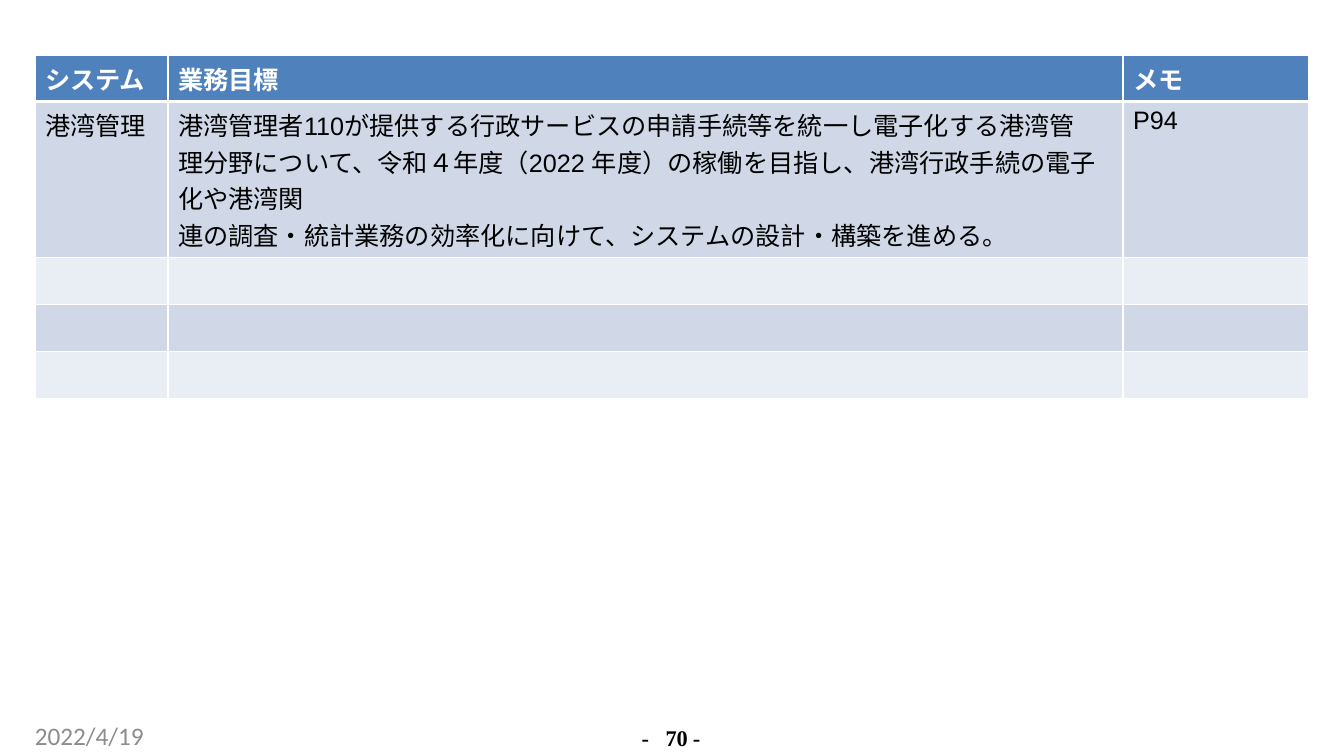
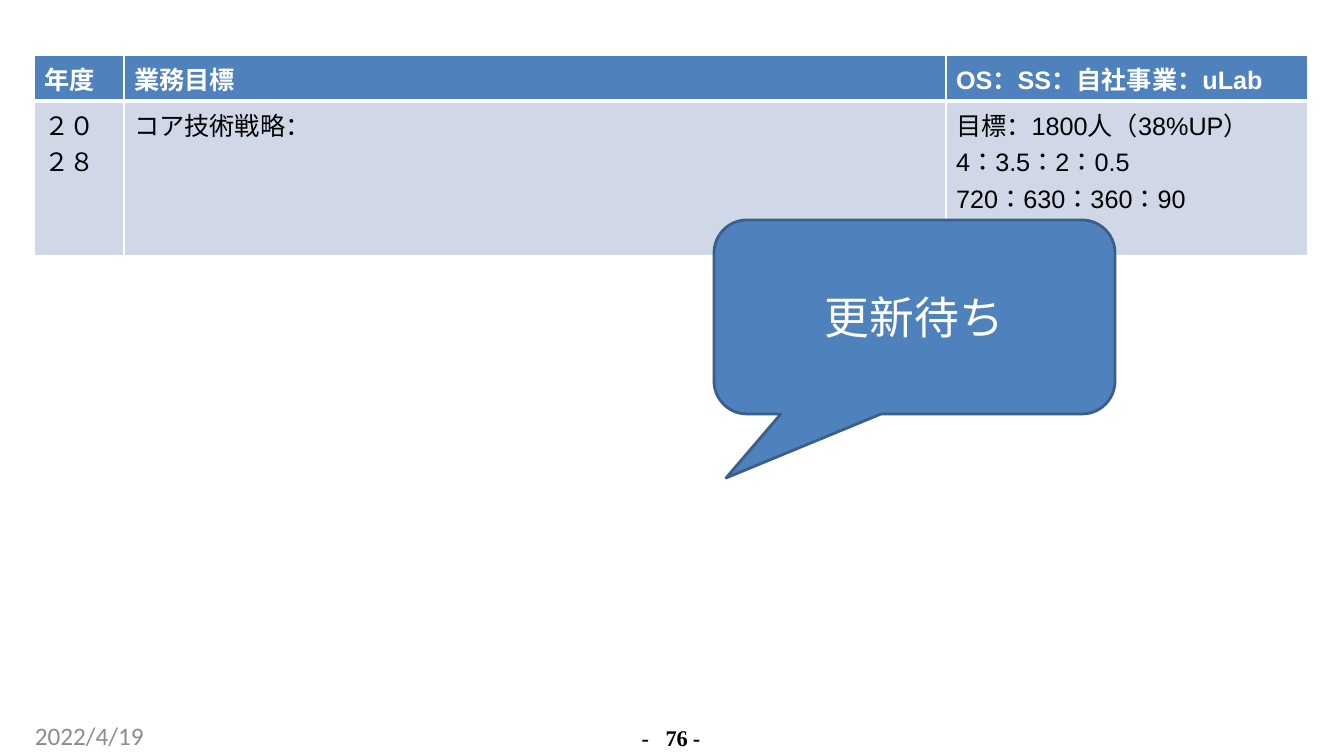
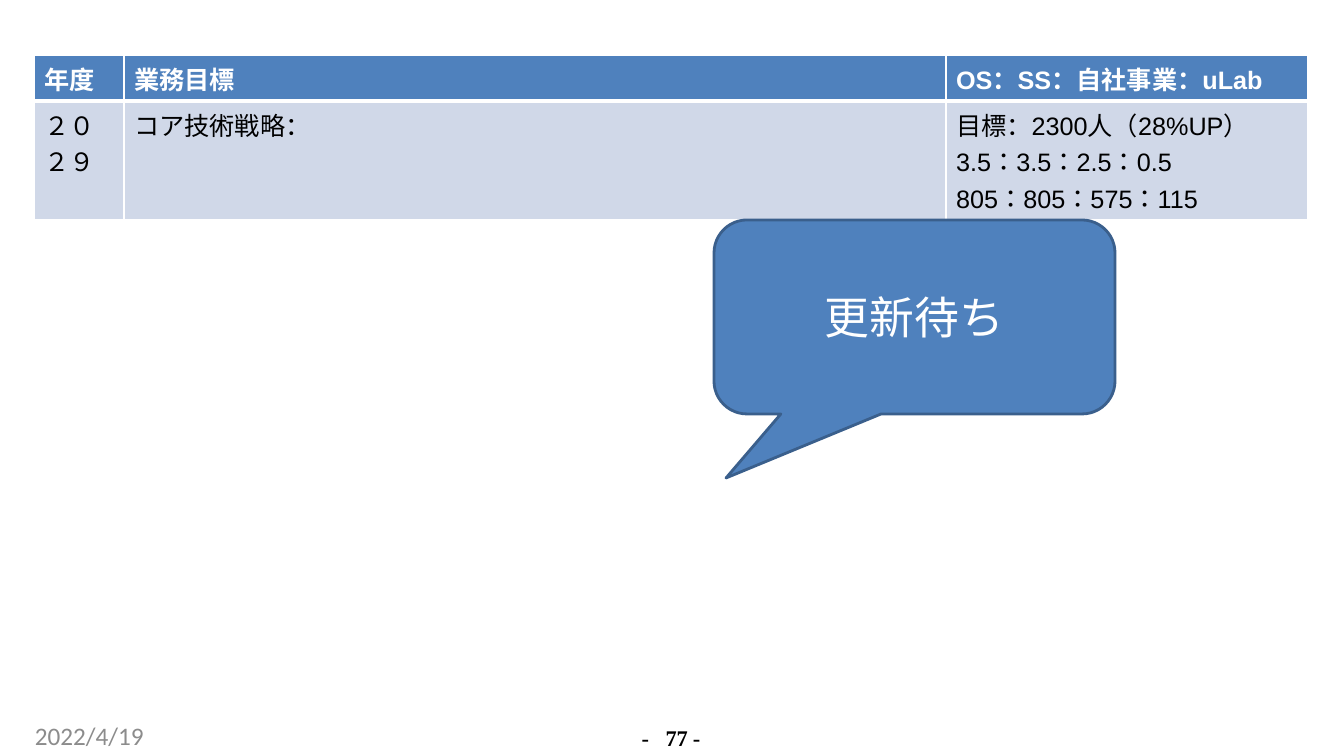
from lxml import etree
from pptx import Presentation
from pptx.dml.color import RGBColor
from pptx.enum.shapes import MSO_SHAPE
from pptx.enum.text import MSO_ANCHOR, PP_ALIGN
from pptx.oxml.ns import qn
from pptx.util import Emu, Pt

CALLOUT = MSO_SHAPE.ROUNDED_RECTANGULAR_CALLOUT
MIDDLE = MSO_ANCHOR.MIDDLE
LEFT = PP_ALIGN.LEFT
CENTER = PP_ALIGN.CENTER

WHITE = RGBColor(0xFF, 0xFF, 0xFF)
BLACK = RGBColor(0x00, 0x00, 0x00)
GRAY = RGBColor(0x8C, 0x8C, 0x8C)
BLUE = RGBColor(0x4F, 0x81, 0xBD)
DARK_BLUE = RGBColor(0x3A, 0x5F, 0x8C)
BANDS = [RGBColor(0xE9, 0xED, 0xF4), RGBColor(0xD0, 0xD8, 0xE8)]
JAPANESE_FONT = "Noto Sans CJK JP"

SCALE = 914400 / 100.8
TABLE_TOP = 55
HEADER_HEIGHT = 46
EMPTY_HEIGHT = 47
YEAR_COLUMNS = [90, 822, 362]
YEAR_HEADER = ["年度", "業務目標", "OS：SS：自社事業：uLab"]

PAGES = [
    {
        "number": 70,
        "left": 35,
        "columns": [133, 955, 186],
        "heights": [HEADER_HEIGHT, 155] + [EMPTY_HEIGHT] * 3,
        "rows": [
            ["システム", "業務目標", "メモ"],
            [
                "港湾管理",
                "港湾管理者110が提供する行政サービスの申請手続等を統一し電子化する港湾管\n"
                "理分野について、令和４年度（2022 年度）の稼働を目指し、港湾行政手続の電子化や港湾関\n"
                "連の調査・統計業務の効率化に向けて、システムの設計・構築を進める。",
                "P94",
            ],
        ] + [[""] * 3] * 3,
        "waiting": False,
    },
    {
        "number": 76,
        "left": 34,
        "columns": YEAR_COLUMNS,
        "heights": [HEADER_HEIGHT, 155],
        "rows": [
            YEAR_HEADER,
            ["２０２８", "コア技術戦略：",
             "目標：1800人（38%UP）\n4：3.5：2：0.5\n720：630：360：90"],
        ],
        "waiting": True,
    },
    {
        "number": 77,
        "left": 34,
        "columns": YEAR_COLUMNS,
        "heights": [HEADER_HEIGHT, 119],
        "rows": [
            YEAR_HEADER,
            ["２０２９", "コア技術戦略：",
             "目標：2300人（28%UP）\n3.5：3.5：2.5：0.5\n805：805：575：115"],
        ],
        "waiting": True,
    },
]


def px(value):
    return Emu(round(value * SCALE))


def write(text_frame, text, font, size, color, bold=False, align=LEFT):
    text_frame.text = text
    for paragraph in text_frame.paragraphs:
        paragraph.alignment = align
        for run in paragraph.runs:
            run.font.name = font
            run.font.size = Pt(size)
            run.font.bold = bold
            run.font.color.rgb = color
            east_asian = etree.SubElement(run.font._element, qn("a:ea"))
            east_asian.set("typeface", JAPANESE_FONT)


presentation = Presentation()
presentation.slide_width = px(1344)
presentation.slide_height = px(756)
blank_layout = presentation.slide_layouts[6]

for page in PAGES:
    slide = presentation.slides.add_slide(blank_layout)

    rows, columns, heights = page["rows"], page["columns"], page["heights"]
    table = slide.shapes.add_table(
        len(rows), len(columns), px(page["left"]), px(TABLE_TOP),
        px(sum(columns)), px(sum(heights))).table
    for column, width in zip(table.columns, columns):
        column.width = px(width)
    for row_index, texts in enumerate(rows):
        table.rows[row_index].height = px(heights[row_index])
        is_header = row_index == 0
        thick_side = {0: "a:lnB", 1: "a:lnT"}.get(row_index)
        for column_index, text in enumerate(texts):
            cell = table.cell(row_index, column_index)
            cell.fill.solid()
            cell.fill.fore_color.rgb = BLUE if is_header else BANDS[row_index % 2]
            write(cell.text_frame, text, "Arial", 18,
                  WHITE if is_header else BLACK, is_header)
            cell_properties = cell._tc.get_or_add_tcPr()
            for position, side in enumerate(["a:lnL", "a:lnR", "a:lnT", "a:lnB"]):
                width = Pt(3) if side == thick_side else Pt(1)
                border = etree.Element(qn(side), w=str(width))
                border_fill = etree.SubElement(border, qn("a:solidFill"))
                etree.SubElement(border_fill, qn("a:srgbClr"), val=str(WHITE))
                cell_properties.insert(position, border)

    page_number = slide.shapes.add_textbox(px(627), px(725), px(87), px(25))
    date = slide.shapes.add_textbox(px(35), px(720), px(309), px(30))
    for footer in (page_number, date):
        frame = footer.text_frame
        frame.word_wrap = True
        frame.margin_left = frame.margin_right = 0
        frame.margin_top = frame.margin_bottom = 0
    write(date.text_frame, "2022/4/19", "Calibri", 18, GRAY)
    write(page_number.text_frame, f"-\t{page['number']} -",
          "Times New Roman", 16, BLACK, True, CENTER)
    paragraph = page_number.text_frame.paragraphs[0]
    paragraph.line_spacing = Pt(18.4)
    paragraph.runs[0].font._element.set("spc", "-10")
    properties = paragraph._p.get_or_add_pPr()
    properties.set("marL", str(px(1)))
    tab_list = etree.SubElement(properties, qn("a:tabLst"))
    etree.SubElement(tab_list, qn("a:tab"), pos=str(px(24)), algn="l")

    if page["waiting"]:
        callout = slide.shapes.add_shape(CALLOUT, px(714), px(220), px(401), px(194))
        callout.shadow.inherit = False
        for index, adjustment in enumerate([-0.47, 0.83, 0.17]):
            callout.adjustments[index] = adjustment
        callout.fill.solid()
        callout.fill.fore_color.rgb = BLUE
        callout.line.color.rgb = DARK_BLUE
        callout.line.width = Pt(2)
        callout.text_frame.vertical_anchor = MIDDLE
        write(callout.text_frame, "更新待ち", "Calibri", 32, WHITE, align=CENTER)

presentation.save("out.pptx")
